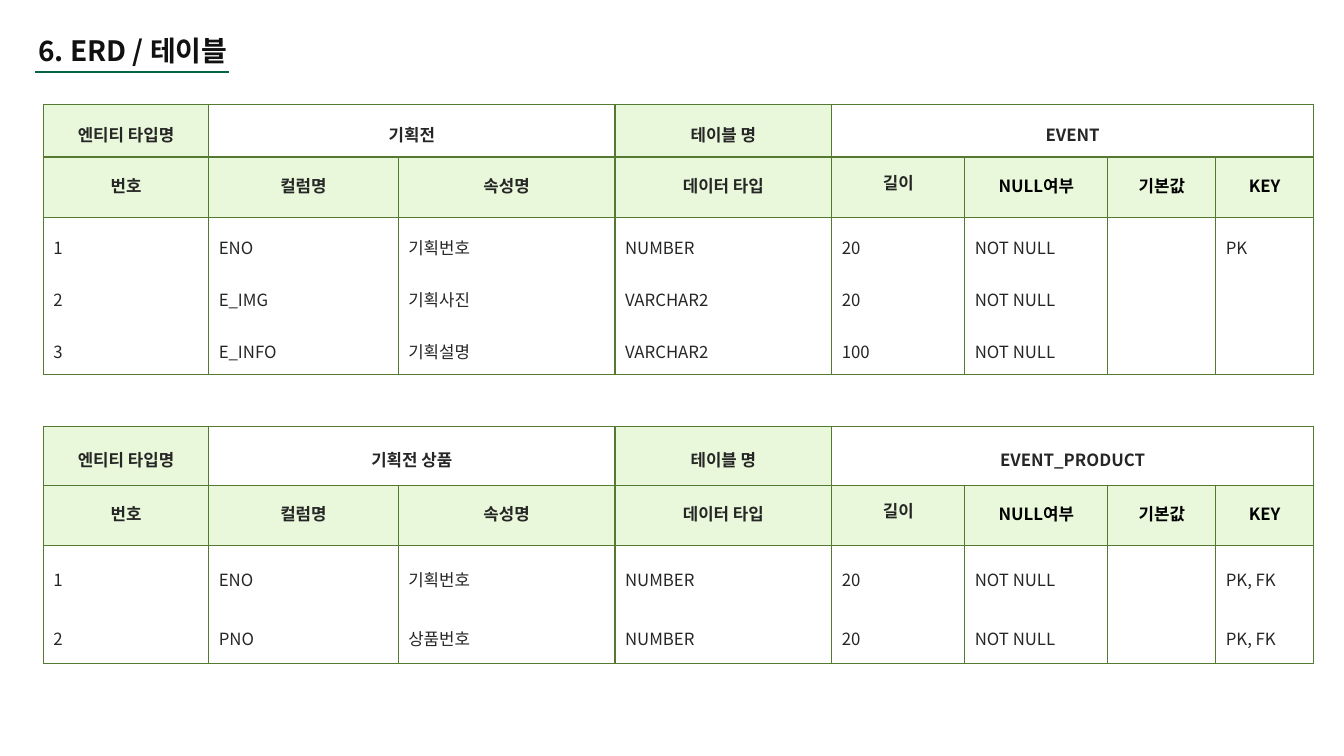
from dataclasses import dataclass

import lxml.etree
import pptx
import pptx.dml.color
import pptx.enum.shapes
import pptx.enum.text
import pptx.oxml.ns
import pptx.util

RGBColor = pptx.dml.color.RGBColor
Align = pptx.enum.text.PP_ALIGN
Anchor = pptx.enum.text.MSO_ANCHOR
qn = pptx.oxml.ns.qn

TITLE_INK = RGBColor(0x11, 0x11, 0x11)
INK = RGBColor(0x26, 0x26, 0x26)
BLACK = RGBColor(0x00, 0x00, 0x00)
WHITE = RGBColor(0xFF, 0xFF, 0xFF)
LABEL_GREEN = RGBColor(0xE9, 0xF8, 0xDA)
GRID_GREEN = RGBColor(0x54, 0x7A, 0x31)
RULE_GREEN = RGBColor(0x08, 0x64, 0x48)

FONT = "Noto Sans CJK KR"
NO_STYLE = "{2D5ABB26-0587-4C30-8999-92F81FD0307C}"
SLIDE_WIDTH = pptx.util.Inches(13.33)
SLIDE_HEIGHT = pptx.util.Inches(7.5)

TABLE_LEFT = 3.23
COLUMN_WIDTHS = (12.3, 14.1, 16.13, 16.13, 9.9, 10.65, 8.03, 7.28)
HEADING_ROW_HEIGHT = 8
HEADINGS = ("번호", "컬럼명", "속성명", "데이터 타입", "길이", "NULL여부", "기본값", "KEY")
LENGTH_COLUMN = HEADINGS.index("길이")


@dataclass(frozen=True)
class Insets:
    top: float
    bottom: float


TEXT_INSETS = Insets(1.6, 0.67)
HEADING_INSETS = Insets(0, 0.67)
LENGTH_INSETS = Insets(1.6, 3.07)


@dataclass(frozen=True)
class EntityTable:
    top: float
    row_height: float
    entity: str
    table_name: str
    records: tuple[tuple[str, ...], ...]


ENTITY_TABLES = (
    EntityTable(13.87, 6.91, "기획전", "EVENT", (
        ("1", "ENO", "기획번호", "NUMBER", "20", "NOT NULL", "", "PK"),
        ("2", "E_IMG", "기획사진", "VARCHAR2", "20", "NOT NULL", "", ""),
        ("3", "E_INFO", "기획설명", "VARCHAR2", "100", "NOT NULL", "", ""),
    )),
    EntityTable(56.4, 7.8, "기획전 상품", "EVENT_PRODUCT", (
        ("1", "ENO", "기획번호", "NUMBER", "20", "NOT NULL", "", "PK, FK"),
        ("2", "PNO", "상품번호", "NUMBER", "20", "NOT NULL", "", "PK, FK"),
    )),
)


def across(percent: float) -> int:
    return round(SLIDE_WIDTH * percent / 100)


def down(percent: float) -> int:
    return round(SLIDE_HEIGHT * percent / 100)


def add_run(para, text: str, size: int, color: RGBColor, bold: bool) -> None:
    span = para.add_run()
    span.text = text
    span.font.size = pptx.util.Pt(size)
    span.font.bold = bold
    span.font.color.rgb = color
    span.font.name = FONT
    lxml.etree.SubElement(span.font._element, qn("a:ea"), typeface=FONT)


def set_borders(cell, shown: str) -> None:
    properties = cell._tc.get_or_add_tcPr()
    for side in "LRTB":
        line = lxml.etree.SubElement(properties, qn(f"a:ln{side}"), w=str(pptx.util.Pt(1)))
        if side in shown:
            fill = lxml.etree.SubElement(line, qn("a:solidFill"))
            lxml.etree.SubElement(fill, qn("a:srgbClr"), val=str(GRID_GREEN))
        else:
            lxml.etree.SubElement(line, qn("a:noFill"))


def set_fill(cell, color: RGBColor | None) -> None:
    if color is None:
        cell.fill.background()
    else:
        cell.fill.solid()
        cell.fill.fore_color.rgb = color


def write_cell(cell, text: str, insets: Insets = TEXT_INSETS, color: RGBColor = INK,
               label: bool = True, anchor: Anchor = Anchor.MIDDLE) -> None:
    if not text:
        return
    cell.margin_left = cell.margin_right = across(0.75)
    cell.margin_top, cell.margin_bottom = down(insets.top), down(insets.bottom)
    cell.vertical_anchor = anchor
    para = cell.text_frame.paragraphs[0]
    para.alignment = Align.CENTER if label else Align.LEFT
    add_run(para, text, 12, color, label)


def fill_name_row(table, entity: EntityTable) -> None:
    names = {0: "엔티티 타입명", 1: entity.entity, 3: "테이블 명", 4: entity.table_name}
    for column in range(len(HEADINGS)):
        cell = table.cell(0, column)
        set_borders(cell, "LRTB")
        set_fill(cell, LABEL_GREEN if column in (0, 3) else None)
        write_cell(cell, names.get(column, ""))
    table.cell(0, 1).merge(table.cell(0, 2))
    table.cell(0, 4).merge(table.cell(0, 7))


def fill_heading_row(table) -> None:
    for column, heading in enumerate(HEADINGS):
        cell = table.cell(1, column)
        set_borders(cell, "LRTB")
        set_fill(cell, LABEL_GREEN)
        is_length = column == LENGTH_COLUMN
        write_cell(cell, heading,
                   LENGTH_INSETS if is_length else HEADING_INSETS,
                   BLACK if column > LENGTH_COLUMN else INK,
                   anchor=Anchor.BOTTOM if is_length else Anchor.MIDDLE)


def fill_records(table, records: tuple[tuple[str, ...], ...]) -> None:
    for index, record in enumerate(records):
        shown = "LR" + "T" * (index == 0) + "B" * (index == len(records) - 1)
        for column, value in enumerate(record):
            cell = table.cell(index + 2, column)
            set_borders(cell, shown)
            set_fill(cell, WHITE if column < LENGTH_COLUMN else None)
            write_cell(cell, value, label=False)


def add_entity_table(page, entity: EntityTable) -> None:
    heights = [entity.row_height, HEADING_ROW_HEIGHT] + [entity.row_height] * len(entity.records)
    frame = page.shapes.add_table(len(heights), len(COLUMN_WIDTHS),
                                  across(TABLE_LEFT), down(entity.top),
                                  across(sum(COLUMN_WIDTHS)), down(sum(heights)))
    table = frame.table
    table.first_row = table.horz_banding = False
    table._tbl.tblPr.find(qn("a:tableStyleId")).text = NO_STYLE
    for column, width in zip(table.columns, COLUMN_WIDTHS):
        column.width = across(width)
    for row, height in zip(table.rows, heights):
        row.height = down(height)
    fill_name_row(table, entity)
    fill_heading_row(table)
    fill_records(table, entity.records)


def add_title(page) -> None:
    box = page.shapes.add_textbox(across(2.1), down(3.73), across(17.1), down(5.87))
    box.text_frame.word_wrap = True
    box.text_frame.auto_size = pptx.enum.text.MSO_AUTO_SIZE.SHAPE_TO_FIT_TEXT
    add_run(box.text_frame.paragraphs[0], "6. ERD / 테이블", 20, TITLE_INK, True)
    rule = page.shapes.add_connector(pptx.enum.shapes.MSO_CONNECTOR.STRAIGHT,
                                     across(2.63), down(9.47), across(17.03), down(9.47))
    rule.line.color.rgb = RULE_GREEN
    rule.line.width = pptx.util.Pt(1.5)
    lxml.etree.SubElement(rule._element.spPr, qn("a:effectLst"))


def main() -> None:
    deck = pptx.Presentation()
    deck.slide_width, deck.slide_height = SLIDE_WIDTH, SLIDE_HEIGHT
    page = deck.slides.add_slide(deck.slide_layouts[6])
    for entity in ENTITY_TABLES:
        add_entity_table(page, entity)
    add_title(page)
    deck.save("out.pptx")


if __name__ == "__main__":
    main()
